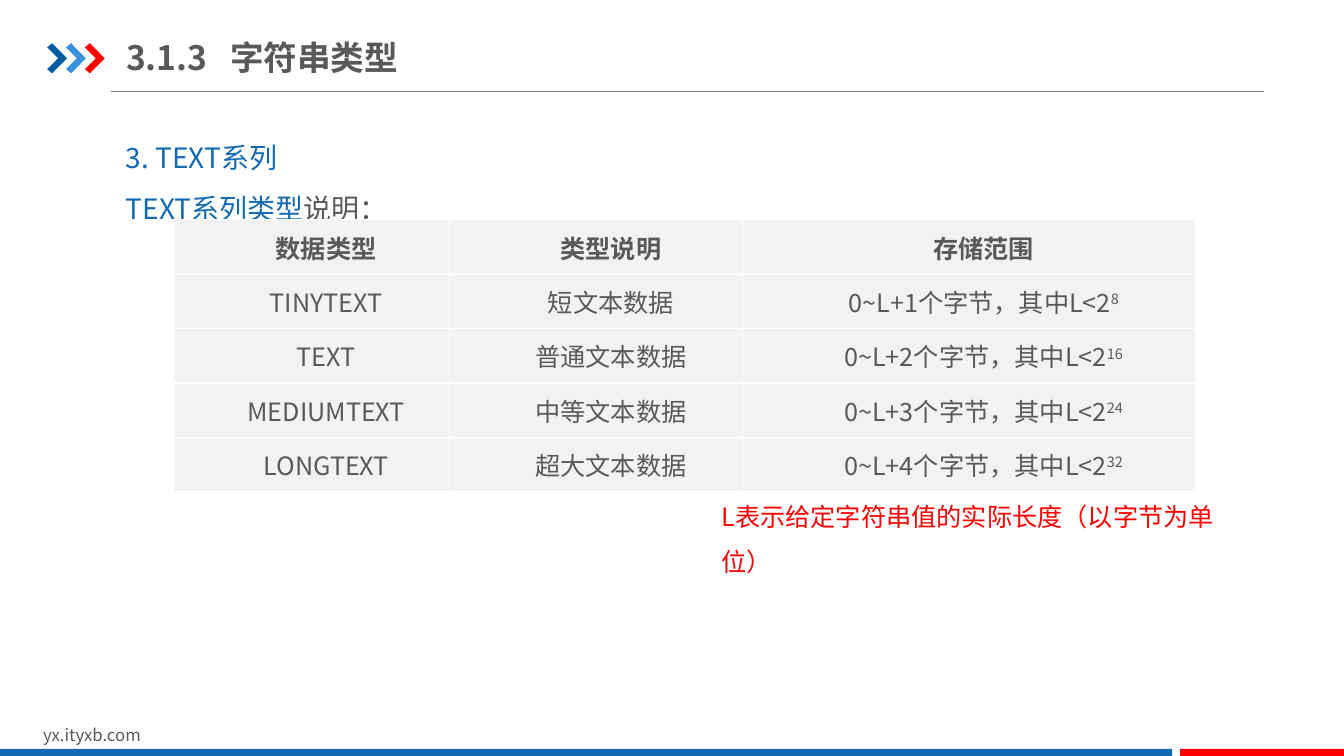
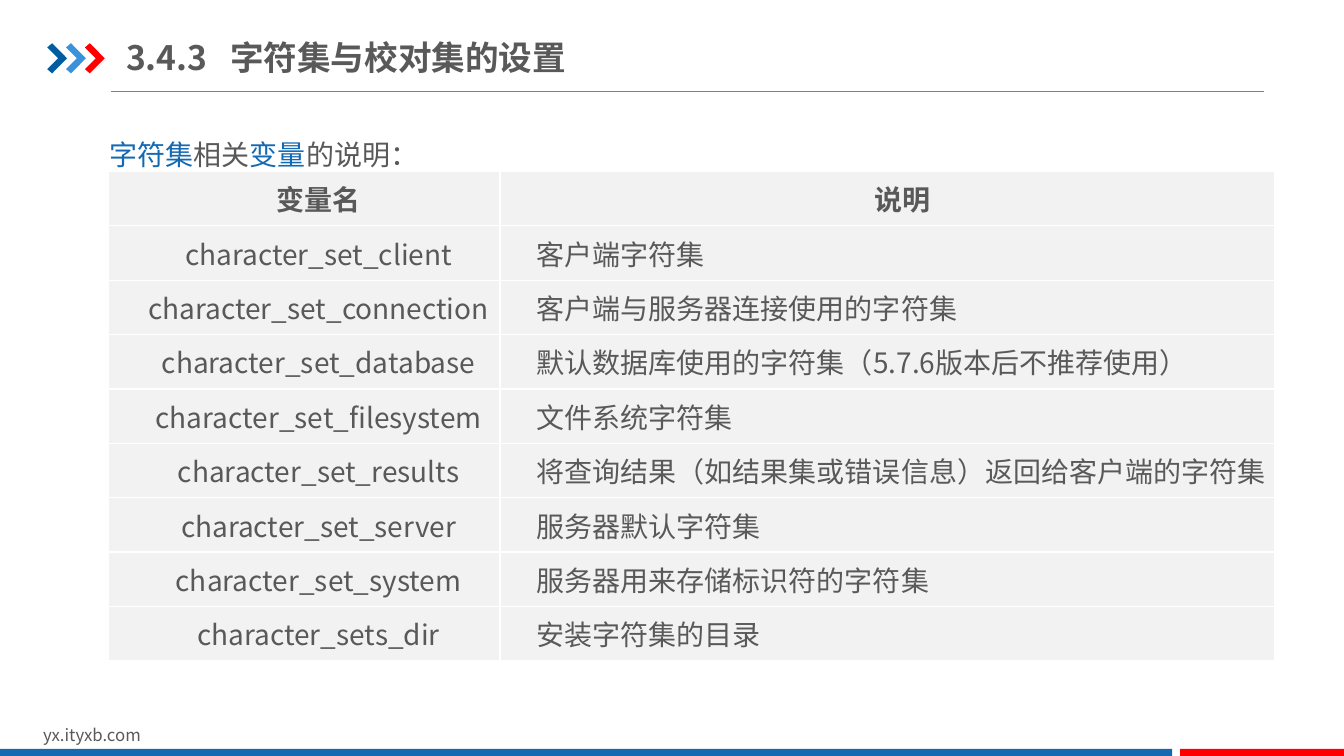
from pptx import Presentation
from pptx.dml.color import RGBColor
from pptx.enum.shapes import MSO_CONNECTOR, MSO_SHAPE
from pptx.enum.text import MSO_ANCHOR, MSO_AUTO_SIZE, PP_ALIGN
from pptx.oxml.ns import qn
from pptx.util import Cm, Pt
from lxml.etree import SubElement

FONT = "Noto Sans CJK SC"
BLUE, RED, TEXT = "1369B2", "FF0000", "595959"
RULE, CELL, WHITE = "808080", "F2F2F2", "FFFFFF"
ARROWS = ("005DA2", "3992DB", RED)
CHEVRON = ((0, 0.14), (0.25, 0), (1, 0.5), (0.25, 1), (0, 0.86), (0.55, 0.5))
ROW_H = 1.37


def rgb(value):
    """Return the colour for a hex string."""
    return RGBColor.from_string(value)


def add_run(p, text, size, color=TEXT, bold=False):
    """Append a formatted run to a paragraph."""
    r = p.add_run()
    r.text = text
    r.font.size, r.font.bold = Pt(size), bold
    r.font.color.rgb = rgb(color)
    r.font.name = FONT
    SubElement(r.font._element, qn("a:ea")).set("typeface", FONT)
    return r


def place(sp, x, y, w, h):
    """Move a shape to a box given in centimetres."""
    sp.left, sp.top, sp.width, sp.height = Cm(x), Cm(y), Cm(w), Cm(h)


def paint(sp, color):
    """Give a shape a plain fill without line or shadow."""
    sp.shadow.inherit = False
    sp.fill.solid()
    sp.fill.fore_color.rgb = rgb(color)
    sp.line.fill.background()


def add_chevrons(s, x, y, w, h, pitch):
    """Draw the row of chevrons beside the title."""
    group = s.shapes.add_group_shape()
    for i, color in enumerate(ARROWS):
        points = [(Cm(x + i * pitch + w * u), Cm(y + h * v)) for u, v in CHEVRON]
        outline = group.shapes.build_freeform(*points[0])
        outline.add_line_segments(points[1:], close=True)
        paint(outline.convert_to_shape(), color)


def add_rule(s, x, y, w):
    """Draw the thin line under the title."""
    line = s.shapes.add_connector(MSO_CONNECTOR.STRAIGHT, Cm(x), Cm(y), Cm(x + w), Cm(y))
    line.line.color.rgb = rgb(RULE)
    line.line.width = Pt(0.75)
    SubElement(line._element.spPr, qn("a:effectLst"))


def add_text(s, x, y, w, h, text, size, color, spacing=1.0):
    """Add a wrapping text box with one paragraph."""
    tf = s.shapes.add_textbox(Cm(x), Cm(y), Cm(w), Cm(h)).text_frame
    tf.word_wrap = True
    p = tf.paragraphs[0]
    p.line_spacing = spacing
    add_run(p, text, size, color)


def add_footer(s, x, y, h):
    """Draw the address and the two bars at the foot."""
    add_text(s, x + 0.84, y - 0.73, 8.08, 0.76, "yx.ityxb.com", 12, TEXT)
    for left, width, color in ((0, 29.54, BLUE), (29.74, 4.13, RED)):
        bar = s.shapes.add_shape(MSO_SHAPE.RECTANGLE, Cm(x + left), Cm(y), Cm(width), Cm(h))
        paint(bar, color)


def set_title(s, number, name):
    """Fill the title placeholder with a section number and name."""
    title = s.shapes.title
    place(title, 3.18, 0.74, 11.35, 1.4)
    tf = title.text_frame
    tf.auto_size = MSO_AUTO_SIZE.NONE
    tf.vertical_anchor = MSO_ANCHOR.MIDDLE
    tf.margin_left = tf.margin_right = 0
    tf.margin_top = tf.margin_bottom = Cm(0.18)
    p = tf.paragraphs[0]
    p.alignment = PP_ALIGN.LEFT
    tabs = SubElement(p._p.get_or_add_pPr(), qn("a:tabLst"))
    SubElement(tabs, qn("a:tab"), pos=str(Cm(2.62)), algn="l")
    add_run(p, f"{number}\t{name}", 24, bold=True)


def set_body(s, box, lines):
    """Fill the body placeholder with lines of coloured runs."""
    body = s.placeholders[1]
    place(body, *box)
    tf = body.text_frame
    tf.auto_size = MSO_AUTO_SIZE.NONE
    for i, line in enumerate(lines):
        p = tf.add_paragraph() if i else tf.paragraphs[0]
        p.line_spacing, p.space_before = 1.5, Pt(0)
        pPr = p._p.get_or_add_pPr()
        pPr.set("marL", "0")
        pPr.set("indent", "0")
        SubElement(pPr, qn("a:buNone"))
        for text, color in line:
            add_run(p, text, 20, color)


def format_cell(cell):
    """Set the margins, white borders and fill of a cell."""
    cell.vertical_anchor = MSO_ANCHOR.MIDDLE
    cell.margin_left = cell.margin_right = Cm(0.18)
    cell.margin_top = cell.margin_bottom = 0
    tcPr = cell._tc.get_or_add_tcPr()
    for side in "LRTB":
        ln = SubElement(tcPr, qn(f"a:ln{side}"), w=str(Pt(1)))
        SubElement(SubElement(ln, qn("a:solidFill")), qn("a:srgbClr"), val=WHITE)
    cell.fill.solid()
    cell.fill.fore_color.rgb = rgb(CELL)


def add_grid(s, x, y, widths, rows, size, left_cols=()):
    """Add a table; text after ^ becomes a superscript."""
    frame = s.shapes.add_table(len(rows), len(widths), Cm(x), Cm(y),
                               Cm(sum(widths)), Cm(ROW_H * len(rows)))
    table = frame.table
    table.first_row = table.horz_banding = False
    for column, width in zip(table.columns, widths):
        column.width = Cm(width)
    for i, row in enumerate(rows):
        table.rows[i].height = Cm(ROW_H)
        for j, value in enumerate(row):
            cell = table.cell(i, j)
            format_cell(cell)
            p = cell.text_frame.paragraphs[0]
            p.alignment = PP_ALIGN.LEFT if i and j in left_cols else PP_ALIGN.CENTER
            p._p.get_or_add_pPr().set("indent", str(Cm(0.74)))
            base, _, power = value.partition("^")
            add_run(p, base, size, bold=i == 0)
            if power:
                add_run(p, power, size).font._element.set("baseline", "30000")


def new_slide(prs, number, name):
    """Add a slide with the shared title, chevrons, rule and footer."""
    s = prs.slides.add_slide(prs.slide_layouts[1])
    set_title(s, number, name)
    add_rule(s, 2.79, 2.31, 29.06)
    add_chevrons(s, 1.19, 1.09, 0.5, 0.76, 0.475)
    add_footer(s, 0, 18.87, 0.18)
    return s


def text_types_slide(prs):
    """Build the slide on the TEXT types."""
    s = new_slide(prs, "3.1.3", "字符串类型")
    set_body(s, (2.92, 3, 28.96, 2.82), [
        [("3. TEXT系列", BLUE)],
        [("TEXT系列类型", BLUE), ("说明：", TEXT)],
    ])
    types = (("TINYTEXT", "短"), ("TEXT", "普通"), ("MEDIUMTEXT", "中等"), ("LONGTEXT", "超大"))
    rows = [("数据类型", "类型说明", "存储范围")]
    rows += [(name, f"{kind}文本数据", f"0~L+{n}个字节，其中L<2^{8 * n}")
             for n, (name, kind) in enumerate(types, 1)]
    add_grid(s, 4.37, 5.54, (6.96, 7.39, 11.4), rows, 18)
    add_text(s, 17.93, 12.12, 13.79, 1.27,
             "L表示给定字符串值的实际长度（以字节为单位）", 18, RED, 1.5)


def charset_slide(prs):
    """Build the slide on the character set variables."""
    s = new_slide(prs, "3.4.3", "字符集与校对集的设置")
    set_body(s, (2.51, 2.92, 29.06, 1.55), [
        [("字符集", BLUE), ("相关", TEXT), ("变量", BLUE), ("的说明：", TEXT)],
    ])
    rows = [
        ("变量名", "说明"),
        ("character_set_client", "客户端字符集"),
        ("character_set_connection", "客户端与服务器连接使用的字符集"),
        ("character_set_database", "默认数据库使用的字符集（5.7.6版本后不推荐使用）"),
        ("character_set_filesystem", "文件系统字符集"),
        ("character_set_results", "将查询结果（如结果集或错误信息）返回给客户端的字符集"),
        ("character_set_server", "服务器默认字符集"),
        ("character_set_system", "服务器用来存储标识符的字符集"),
        ("character_sets_dir", "安装字符集的目录"),
    ]
    add_grid(s, 2.72, 4.32, (9.88, 19.53), rows, 20, left_cols=(1,))


def main():
    """Build and save the presentation."""
    prs = Presentation()
    prs.slide_width, prs.slide_height = Cm(33.87), Cm(19.05)
    text_types_slide(prs)
    charset_slide(prs)
    prs.save("out.pptx")


if __name__ == "__main__":
    main()
